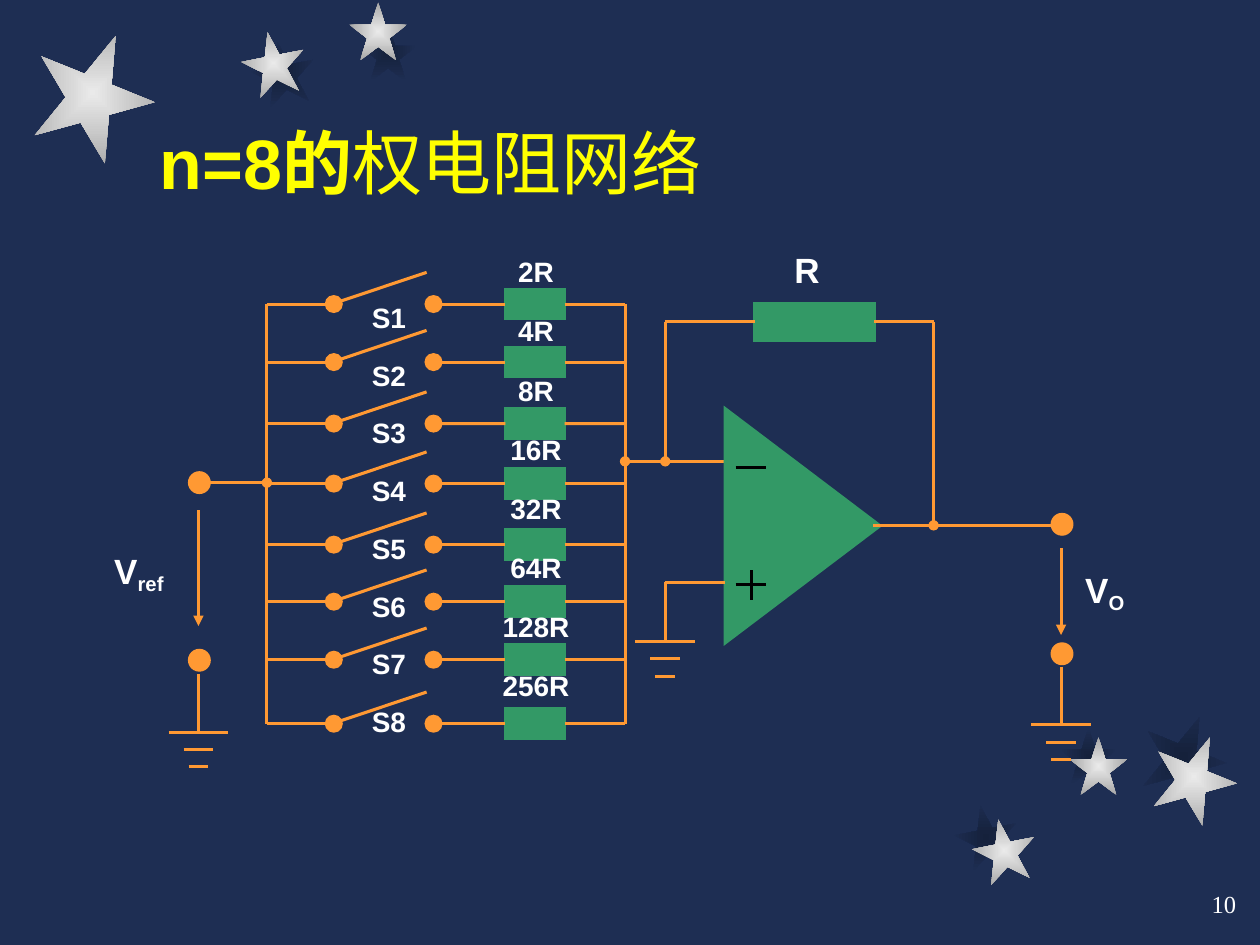
from lxml import etree
from pptx import Presentation
from pptx.dml.color import RGBColor
from pptx.enum.shapes import MSO_CONNECTOR, MSO_SHAPE
from pptx.enum.text import MSO_ANCHOR, PP_ALIGN
from pptx.oxml.ns import qn
from pptx.util import Cm, Pt

STRAIGHT = MSO_CONNECTOR.STRAIGHT
STAR = MSO_SHAPE.STAR_5_POINT
OVAL, RECTANGLE = MSO_SHAPE.OVAL, MSO_SHAPE.RECTANGLE
TRIANGLE = MSO_SHAPE.ISOSCELES_TRIANGLE
LEFT, CENTER, RIGHT = PP_ALIGN.LEFT, PP_ALIGN.CENTER, PP_ALIGN.RIGHT
TOP, MIDDLE, BOTTOM = MSO_ANCHOR.TOP, MSO_ANCHOR.MIDDLE, MSO_ANCHOR.BOTTOM

COLORS = {
    "background": "1E2E53",
    "shade": "15213B",
    "star_center": "EAEAEA",
    "star_edge": "A7A7A7",
    "title": "FFFF00",
    "text": "FFFFFF",
    "wire": "FF9933",
    "part": "339966",
    "sign": "000000",
}
STAR_SHADOWS = [
    (5.08, 0.84, 1.27, 349), (7.24, 0.48, 1.17, 0),
    (19.25, 16.23, 1.27, 349), (21.36, 14.66, 1.17, 0), (23.01, 14.4, 1.7, 22),
]
STARS = [
    (4.88, 0.64, 1.27, 349), (7.04, 0.05, 1.17, 0),
    (19.61, 16.51, 1.27, 349), (21.56, 14.86, 1.17, 0), (23.22, 14.81, 1.7, 22),
    (0.64, 0.64, 2.46, 22),
]
BRANCH_Y = [6.13, 7.3, 8.54, 9.75, 10.98, 12.13, 13.3, 14.59]
INPUT_BUS_X, SUM_BUS_X = 5.38, 12.6
FEEDBACK_X, OUTPUT_X = 13.41, 18.82
SUM_Y, OUTPUT_Y = 9.3, 10.59


def rgb(name):
    return RGBColor.from_string(COLORS[name])


def add_star(slide, left, top, size, angle, center, edge):
    star = slide.shapes.add_shape(STAR, Cm(left), Cm(top), Cm(size), Cm(size))
    star.rotation = angle
    star.shadow.inherit = False
    star.line.fill.background()
    star.fill.gradient()
    for stop, name in zip(star.fill.gradient_stops, (center, edge)):
        stop.color.rgb = rgb(name)
    gradient = star.element.spPr.find(qn("a:gradFill"))
    gradient.remove(gradient.find(qn("a:lin")))
    spread = etree.SubElement(gradient, qn("a:path"), path="shape")
    etree.SubElement(spread, qn("a:fillToRect"),
                     {side: "50000" for side in "ltrb"})


def add_part(slide, kind, left, top, width, height, color="part", weight=1.75):
    part = slide.shapes.add_shape(kind, Cm(left), Cm(top), Cm(width), Cm(height))
    part.shadow.inherit = False
    part.fill.solid()
    part.fill.fore_color.rgb = rgb(color)
    part.line.color.rgb = rgb(color)
    part.line.width = Pt(weight)
    outline = part.element.spPr.find(qn("a:ln"))
    etree.SubElement(outline, qn("a:miter"), lim="800000")
    return part


def add_terminal(slide, x, y, size=0.4):
    add_part(slide, OVAL, x - size / 2, y - size / 2, size, size, "wire")


def add_wire(slide, start, end, color="wire", head=None, tail=None):
    wire = slide.shapes.add_connector(
        STRAIGHT, *(Cm(value) for value in (*start, *end)))
    wire.line.color.rgb = rgb(color)
    wire.line.width = Pt(1.75)
    properties = wire.element.spPr
    outline = properties.find(qn("a:ln"))
    for tag, ending in (("a:headEnd", head), ("a:tailEnd", tail)):
        if ending:
            etree.SubElement(outline, qn(tag), type=ending)
    etree.SubElement(properties, qn("a:effectLst"))
    return wire


def add_resistor(slide, left, y, width, height, start_x, end_x, weight):
    resistor = add_part(slide, RECTANGLE, left, y - height / 2, width, height,
                        weight=weight)
    add_wire(slide, (start_x, y), (left, y)).end_connect(resistor, 1)
    add_wire(slide, (left + width, y), (end_x, y)).begin_connect(resistor, 3)


def add_ground(slide, x, stem_y, y):
    add_wire(slide, (x, stem_y), (x, y))
    for row, half in enumerate((0.6, 0.3, 0.2)):
        bar_y = y + row * 0.35
        add_wire(slide, (x - half, bar_y), (x + half, bar_y))


def add_text(slide, left, top, width, height, lines, size, align=CENTER,
             anchor=TOP, margin=0, color="text", font="Arial", bold=True,
             spacing=None, gap=0):
    box = slide.shapes.add_textbox(Cm(left), Cm(top), Cm(width), Cm(height))
    frame = box.text_frame
    frame.word_wrap = True
    frame.vertical_anchor = anchor
    frame.margin_left = frame.margin_right = Cm(margin)
    for index, line in enumerate(lines):
        paragraph = frame.add_paragraph() if index else frame.paragraphs[0]
        paragraph.alignment = align
        paragraph.line_spacing = spacing
        if index:
            paragraph.space_before = Pt(gap)
        paragraph.font.size = Pt(size)
        paragraph.font.name = font
        paragraph.font.bold = bold
        paragraph.font.color.rgb = rgb(color)
        paragraph.add_run().text = line
    return frame.paragraphs[0]


def add_voltage(slide, left, top, width, subscript):
    voltage = add_text(slide, left, top, width, 1, ["V"], 20)
    suffix = voltage.add_run()
    suffix.text = subscript
    suffix._r.get_or_add_rPr().set("baseline", "-20000")


def add_title(slide):
    title = add_text(slide, 2.97, 2.11, 18.14, 2.11, ["n=8的"], 40, LEFT,
                     BOTTOM, 0.25, "title", bold=None)
    title.runs[0].font.bold = True
    topic = title.add_run()
    topic.text = "权电阻网络"
    topic.font.bold = False


def add_branches(slide):
    for y in BRANCH_Y:
        add_wire(slide, (INPUT_BUS_X, y), (6.73, y))
        add_wire(slide, (6.78, y - 0.03), (8.6, y - 0.64))
        add_resistor(slide, 10.19, y, 1.19, 0.61, 8.74, SUM_BUS_X, 1.25)
        for x in (6.73, 8.74):
            add_terminal(slide, x, y, 0.3)
    for x in (INPUT_BUS_X, SUM_BUS_X):
        add_wire(slide, (x, BRANCH_Y[0]), (x, BRANCH_Y[-1]))
    add_text(slide, 9.6, 5.1, 2.41, 10.11,
             [f"{2 ** bit}R" for bit in range(1, 9)], 16, spacing=0.88, gap=16.9)
    add_text(slide, 7.34, 6.03, 1, 9.19,
             [f"S{bit}" for bit in range(1, 9)], 16, spacing=0.86, gap=16.5)


def add_source(slide):
    add_wire(slide, (4.02, 9.73), (INPUT_BUS_X, 9.73), tail="oval")
    add_wire(slide, (4, 10.29), (4, 12.62), tail="triangle")
    add_ground(slide, 4, 13.59, 14.76)
    for y in (9.73, 13.31):
        add_terminal(slide, 4.02, y)
    add_voltage(slide, 1.9, 10.95, 1.8, "ref")


def add_amplifier(slide):
    add_wire(slide, (SUM_BUS_X, SUM_Y), (14.99, SUM_Y), head="oval")
    amplifier = add_part(slide, TRIANGLE, 13.82, 9.04, 4.72, 3.12)
    amplifier.rotation = 90
    for start, end in (((14.83, 9.42), (15.44, 9.42)),
                       ((14.83, 11.79), (15.44, 11.79)),
                       ((15.14, 11.5), (15.14, 12.09))):
        add_wire(slide, start, end, "sign")
    add_wire(slide, (14.61, 11.74), (FEEDBACK_X, 11.74))
    add_ground(slide, FEEDBACK_X, 11.74, 12.93)
    add_resistor(slide, 15.21, 6.49, 2.41, 0.74, FEEDBACK_X, OUTPUT_X, 1.75)
    for x, y in ((FEEDBACK_X, SUM_Y), (OUTPUT_X, OUTPUT_Y)):
        add_wire(slide, (x, 6.49), (x, y), tail="oval")
    add_text(slide, 15.37, 4.88, 1.8, 1, ["R"], 20)


def add_output(slide):
    add_wire(slide, (17.6, OUTPUT_Y), (21.21, OUTPUT_Y))
    add_wire(slide, (21.39, 11.05), (21.39, 12.8), tail="triangle")
    add_ground(slide, 21.39, 13.44, 14.61)
    for y in (10.57, 13.18):
        add_terminal(slide, 21.41, y)
    add_voltage(slide, 21.67, 11.33, 1.2, "O")


def main():
    presentation = Presentation()
    presentation.slide_width, presentation.slide_height = Cm(25.4), Cm(19.05)
    slide = presentation.slides.add_slide(presentation.slide_layouts[6])
    slide.background.fill.solid()
    slide.background.fill.fore_color.rgb = rgb("background")
    for shadow in STAR_SHADOWS:
        add_star(slide, *shadow, "shade", "background")
    for star in STARS:
        add_star(slide, *star, "star_center", "star_edge")
    add_text(slide, 19.89, 17.58, 5.28, 1.27, ["10"], 14, RIGHT, MIDDLE, 0.25,
             font="Times New Roman", bold=False)
    add_title(slide)
    add_branches(slide)
    add_source(slide)
    add_amplifier(slide)
    add_output(slide)
    presentation.save("out.pptx")


if __name__ == "__main__":
    main()
